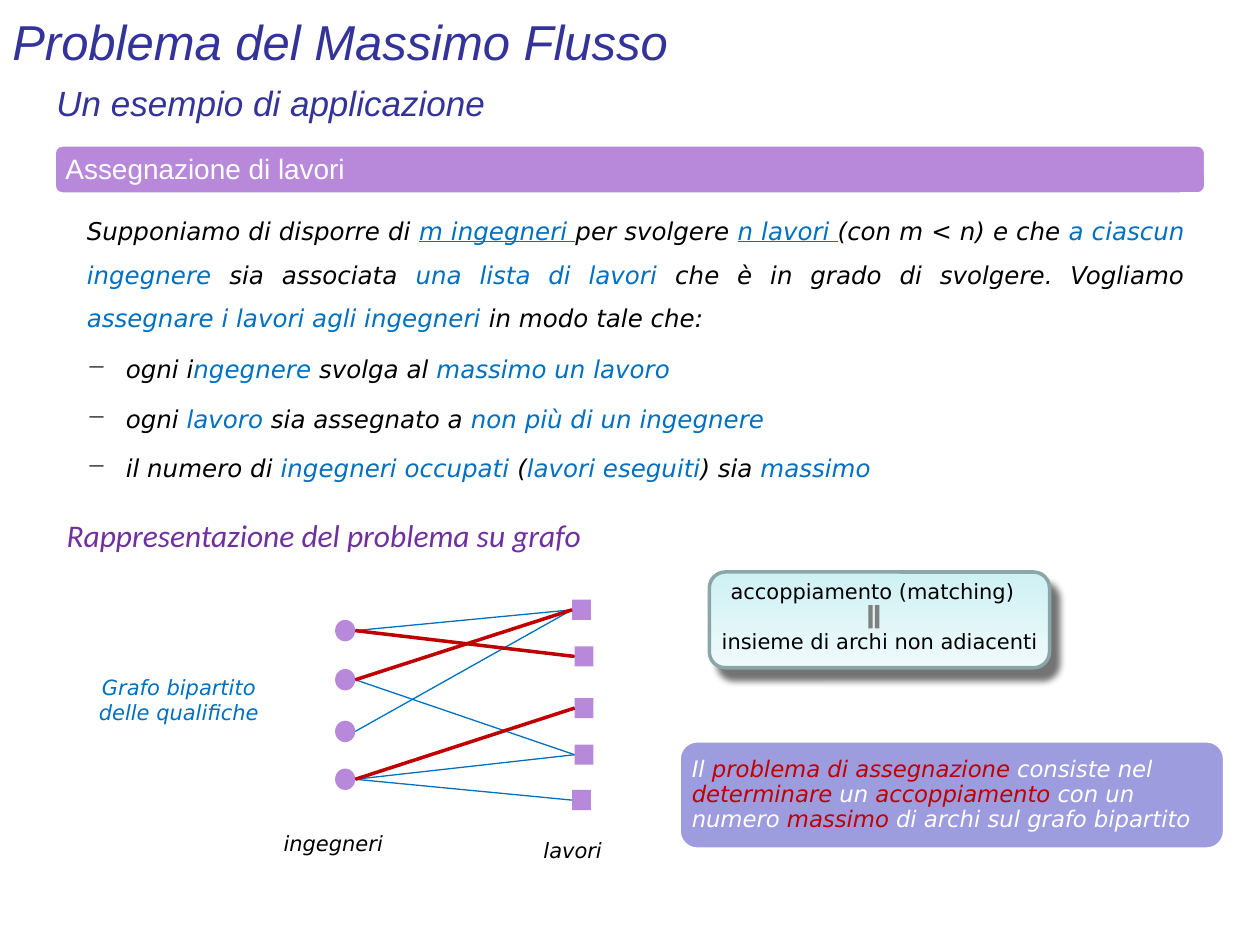
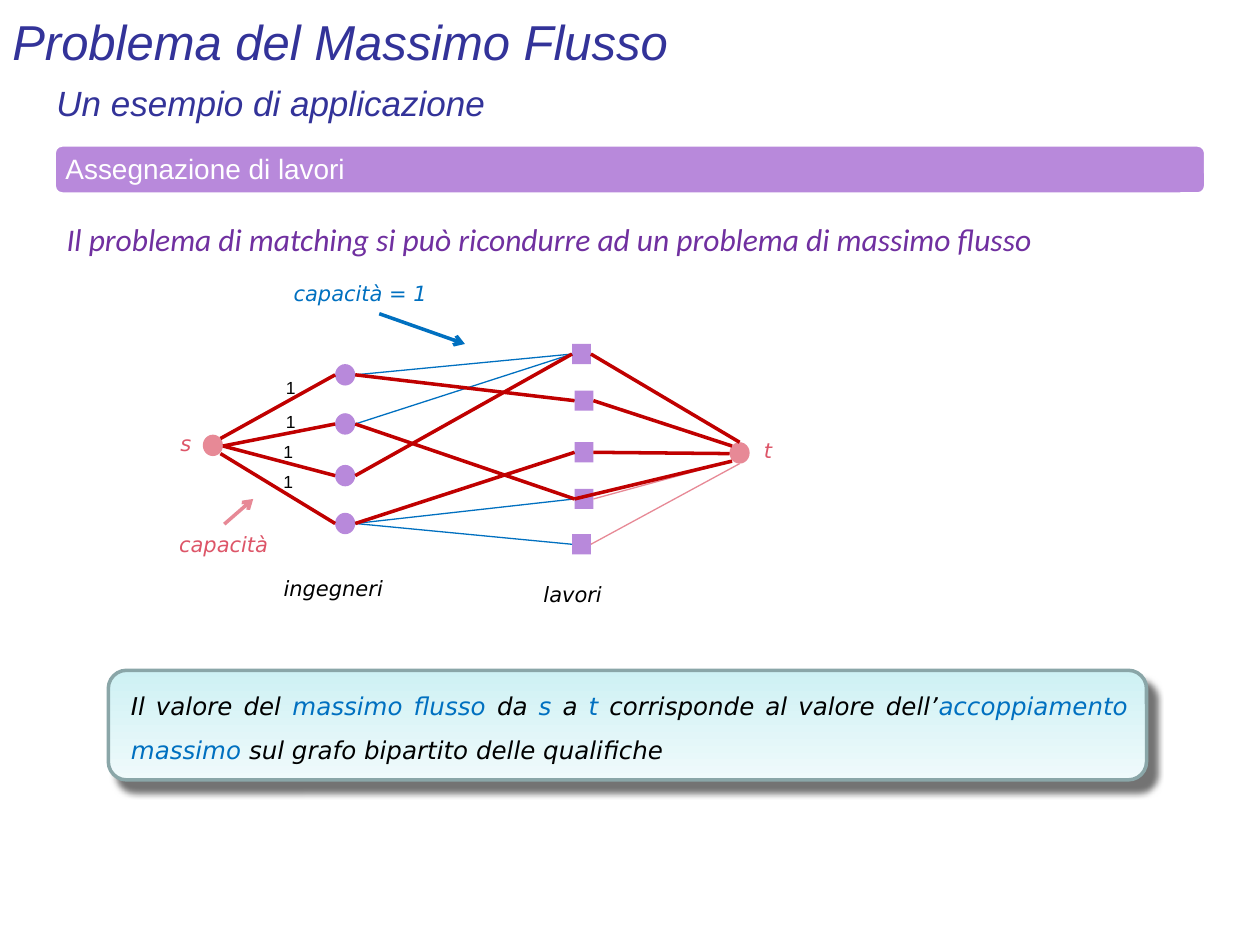
import pptx
import pptx.util
import pptx.dml.color
import pptx.enum.shapes
import pptx.enum.text
import pptx.oxml.ns
from lxml import etree

Inches, Pt = pptx.util.Inches, pptx.util.Pt
SHAPE = pptx.enum.shapes.MSO_SHAPE
ALIGN = pptx.enum.text.PP_ALIGN
ANCHOR = pptx.enum.text.MSO_ANCHOR
qn = pptx.oxml.ns.qn

NAVY, PURPLE, LILAC, MAUVE = "333399", "7030A0", "B889DB", "9C9CDF"
BLUE, RED, PINK, ROSE = "0070C0", "C00000", "E78996", "DD5568"
BLACK, WHITE, GRAY = "000000", "FFFFFF", "808080"
TEAL, PALE, EDGE = "CEF1F4", "EFFAFB", "8AA6A8"
SANS = "DejaVu Sans"
NODE = (0.16, 0.17)
JOB = (0.15, 0.16)
MEN_Y = (0.16, 0.55, 0.96, 1.34)
JOBS_AT = ((1.88, 0), (1.9, 0.37), (1.9, 0.78), (1.9, 1.15), (1.88, 1.51))
SKILLS = ((0, 0), (1, 3), (0, 1), (2, 0), (1, 0), (3, 3), (3, 4), (3, 2))


def rgb(code):
    return pptx.dml.color.RGBColor.from_string(code)


def write(slide, box, text, size=12, font=SANS, color=BLACK, accent=BLUE,
          italic=True, align=ALIGN.LEFT, anchor=ANCHOR.TOP, wrap=True,
          inset=None, space=None, bullet=None):
    """Add a text box; parts between asterisks take the accent, and a leading _ underlines."""
    frame = slide.shapes.add_textbox(*map(Inches, box)).text_frame
    frame.word_wrap = wrap
    frame.vertical_anchor = anchor
    if inset is not None:
        frame.margin_left = frame.margin_right = Inches(inset)
        frame.margin_top = frame.margin_bottom = Inches(inset)
    para = frame.paragraphs[0]
    para.alignment = align
    if space:
        para.line_spacing = space
    if bullet:
        props = para._p.get_or_add_pPr()
        props.set("marL", str(Inches(0.31)))
        props.set("indent", str(-Inches(0.31)))
        tint = etree.SubElement(props, qn("a:buClr"))
        etree.SubElement(tint, qn("a:srgbClr"), val=BLACK)
        etree.SubElement(props, qn("a:buChar"), char=bullet)
    for i, part in enumerate(text.split("*")):
        if not part:
            continue
        run = para.add_run()
        run.text = part.lstrip("_")
        run.font.name, run.font.size = font, Pt(size)
        run.font.italic = italic
        run.font.underline = part.startswith("_") or None
        run.font.color.rgb = rgb(accent if i % 2 else color)


def label(slide, box, text, color=BLACK):
    write(slide, box, text, color=color, align=ALIGN.CENTER, anchor=ANCHOR.MIDDLE)


def draw(slide, kind, box, fill, edge=None):
    shape = slide.shapes.add_shape(kind, *map(Inches, box))
    shape.shadow.inherit = False
    shape.fill.solid()
    shape.fill.fore_color.rgb = rgb(fill)
    if edge:
        shape.line.color.rgb = rgb(edge)
        shape.line.width = Pt(2)
    else:
        shape.line.fill.background()
    return shape


def card(slide, box):
    """Rounded teal box with a gradient and a cast shadow."""
    shape = draw(slide, SHAPE.ROUNDED_RECTANGLE, box, TEAL, EDGE)
    shape.fill.gradient()
    shape.fill.gradient_angle = 270
    for stop, color in zip(shape.fill.gradient_stops, (TEAL, PALE)):
        stop.color.rgb = rgb(color)
    effects = shape.element.spPr.find(qn("a:effectLst"))
    cast = etree.SubElement(effects, qn("a:outerShdw"), blurRad=str(Pt(4)),
                            dist=str(Pt(8)), dir=str(52 * 60000),
                            algn="ctr", rotWithShape="0")
    tint = etree.SubElement(cast, qn("a:srgbClr"), val=BLACK)
    etree.SubElement(tint, qn("a:alpha"), val="55000")


def link(slide, start, end, color, width=0.75, arrow=False):
    """Draw a line; each end is a point or a (rectangle, side) pair."""
    points = [(0, 0) if hasattr(e[0], "shape_id") else e for e in (start, end)]
    line = slide.shapes.add_connector(
        pptx.enum.shapes.MSO_CONNECTOR.STRAIGHT,
        *(Inches(v) for point in points for v in point))
    for tip, join in ((start, line.begin_connect), (end, line.end_connect)):
        if hasattr(tip[0], "shape_id"):
            join(*tip)
    line.line.color.rgb = rgb(color)
    line.line.width = Pt(width)
    props = line.element.spPr
    if arrow:
        etree.SubElement(props.find(qn("a:ln")), qn("a:tailEnd"), type="arrow")
    etree.SubElement(props, qn("a:effectLst"))


def header(slide):
    write(slide, (0, -0.03, 9.96, 0.71), "Problema del Massimo Flusso", size=28,
          font="Arial", color=NAVY, anchor=ANCHOR.MIDDLE)
    write(slide, (0.35, 0.6, 9.14, 0.47), "Un esempio di applicazione", size=20,
          font="Arial", color=NAVY)
    draw(slide, SHAPE.ROUNDED_RECTANGLE, (0.43, 1.15, 9.14, 0.39), LILAC, WHITE)
    write(slide, (0.45, 1.17, 9.1, 0.36), "Assegnazione di lavori", size=16,
          font="Arial", color=WHITE, italic=False, anchor=ANCHOR.MIDDLE,
          inset=0.07, space=0.9)


def heading(slide, box, text):
    write(slide, box, text, size=18, font="Calibri", color=PURPLE, wrap=False)


def match(slide, x, y, men, jobs, pairs, color, width=0.75):
    for man, job in pairs:
        link(slide, (x + NODE[0], y + men[man] + NODE[1] / 2), (jobs[job], 1),
             color, width)


def graph(slide, x, y):
    """Draw engineers, jobs and skill links; return the job squares."""
    for down in MEN_Y:
        draw(slide, SHAPE.OVAL, (x, y + down, *NODE), LILAC)
    label(slide, (x - 0.57, y + 1.7, 1.11, 0.47), "ingegneri")
    label(slide, (x + 1.33, y + 1.75, 1.11, 0.47), "lavori")
    jobs = [draw(slide, SHAPE.RECTANGLE, (x + right, y + down, *JOB), LILAC)
            for right, down in JOBS_AT]
    match(slide, x, y, MEN_Y, jobs, SKILLS, BLUE)
    return jobs


def flow(slide, x, y, jobs):
    """Add source, sink and capacities around the graph at x, y."""
    for right, down, name, box in (
            (-1.05, 0.72, "s", (-1.36, 0.55, 0.35, 0.47)),
            (3.13, 0.78, "t", (3.28, 0.61, 0.31, 0.47))):
        draw(slide, SHAPE.OVAL, (x + right, y + down, *NODE), PINK)
        label(slide, (x + box[0], y + box[1], *box[2:]), name, ROSE)
    outs = ((-0.91, 0.75), (-0.89, 0.81), (-0.89, 0.81), (-0.91, 0.87))
    ins = ((3.21, 0.78), (3.15, 0.81), (3.13, 0.87), (3.15, 0.93), (3.21, 0.95))
    for color, width, count in ((PINK, 0.75, 5), (RED, 2, 4)):
        for (right, down), man in zip(outs, MEN_Y):
            link(slide, (x + right, y + down), (x, y + man + NODE[1] / 2), color, width)
        for i, (right, down) in enumerate(ins[:count]):
            side = 1 if color == RED and i == 3 else 3
            link(slide, (jobs[i], side), (x + right, y + down), color, width)
    for right, down in ((-0.49, 0.21), (-0.49, 0.48), (-0.51, 0.72), (-0.51, 0.96)):
        write(slide, (x + right, y + down, 0.35, 0.27), "1", size=10,
              font="Arial", italic=False)
    label(slide, (x - 1.44, y + 1.35, 1.11, 0.47), "capacità", ROSE)
    label(slide, (x - 0.43, y - 0.64, 1.26, 0.47), "capacità = 1", BLUE)
    link(slide, (x - 0.88, y + 1.43), (x - 0.65, y + 1.23), PINK, 2, True)
    link(slide, (x + 0.35, y - 0.24), (x + 1.03, y), BLUE, 2, True)


def task(slide, x, y, width):
    """State the problem and its three conditions."""
    body = dict(size=14, align=ALIGN.JUSTIFY, space=Pt(25))
    write(slide, (x, y, width, 1.14),
          "Supponiamo di disporre di *_m ingegneri *per svolgere *_n lavori *"
          "(con m < n) e che *a ciascun ingegnere *sia associata *una lista di lavori *"
          "che è in grado di svolgere. Vogliamo *assegnare i lavori agli ingegneri *"
          "in modo tale che:", **body)
    rules = ("ogni i*ngegnere *svolga al *massimo un lavoro*",
             "ogni *lavoro* sia assegnato a *non più di un ingegnere*",
             "il numero di *ingegneri occupati *(*lavori eseguiti*) sia *massimo*")
    for i, rule in enumerate(rules):
        write(slide, (x, y + 1.1 + 0.39 * i, width, 0.55), rule, bullet="−", **body)


def pairing(slide, x, y):
    card(slide, (x, y, 2.7, 0.76))
    write(slide, (x + 0.07, y, 2.92, 0.3), "accoppiamento (matching)", italic=False)
    write(slide, (x, y + 0.4, 2.76, 0.3), "insieme di archi non adiacenti", italic=False)
    sign = draw(slide, SHAPE.MATH_EQUAL, (x + 1.18, y + 0.28, 0.25, 0.15), GRAY)
    sign.rotation = 90


def goal(slide, x, y):
    draw(slide, SHAPE.ROUNDED_RECTANGLE, (x, y, 4.33, 0.86), MAUVE, WHITE)
    write(slide, (x + 0.05, y + 0.04, 4.25, 0.78),
          "Il *problema di assegnazione *consiste nel *determinare* un "
          "*accoppiamento* con un numero *massimo* di archi sul grafo bipartito",
          size=13, color=WHITE, accent=RED, anchor=ANCHOR.MIDDLE,
          inset=0.05, space=0.9)


def result(slide, x, y):
    card(slide, (x, y, 8.24, 0.87))
    write(slide, (x + 0.08, y, 8.11, 0.63),
          "Il valore del *massimo flusso *da *s* a *t* corrisponde al valore "
          "dell’*accoppiamento massimo *sul grafo bipartito delle qualifiche",
          size=14, align=ALIGN.JUSTIFY, space=Pt(25))


def jobs_slide(slide):
    header(slide)
    task(slide, 0.59, 1.55, 8.91)
    heading(slide, (0.43, 4.05, 4.33, 0.4), "Rappresentazione del problema su grafo")
    label(slide, (0.59, 5.32, 1.66, 0.47), "Grafo bipartito delle qualifiche", BLUE)
    pairing(slide, 5.63, 4.54)
    goal(slide, 5.39, 5.88)
    x, y = 2.66, 4.76
    jobs = graph(slide, x, y)
    match(slide, x, y, MEN_Y, jobs, ((0, 1), (1, 0), (3, 2)), RED, 2)


def flow_slide(slide):
    header(slide)
    heading(slide, (0.43, 1.7, 8.08, 0.4),
            "Il problema di matching si può ricondurre ad un problema di massimo flusso")
    x, y = 2.66, 2.73
    jobs = graph(slide, x, y)
    flow(slide, x, y, jobs)
    match(slide, x, y, MEN_Y, jobs, ((0, 1), (1, 3), (3, 2), (2, 0)), RED, 2)
    result(slide, 0.86, 5.32)


def main():
    deck = pptx.Presentation()
    deck.slide_width, deck.slide_height = Inches(10), Inches(7.5)
    for build in (jobs_slide, flow_slide):
        build(deck.slides.add_slide(deck.slide_layouts[6]))
    deck.save("out.pptx")


if __name__ == "__main__":
    main()
